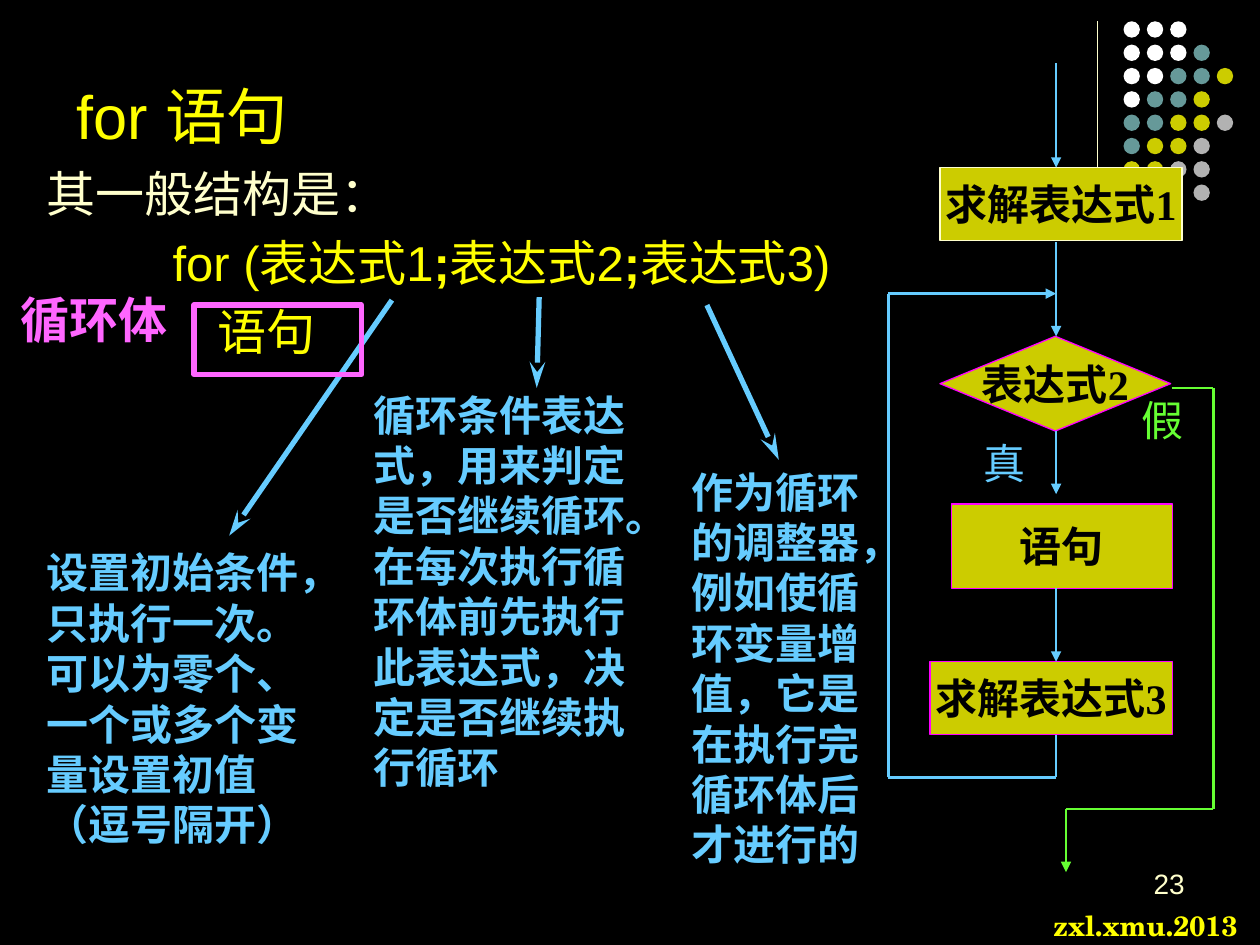
from dataclasses import dataclass
from itertools import pairwise

from lxml.etree import SubElement
from pptx import Presentation
from pptx.dml.color import RGBColor
from pptx.enum.shapes import MSO_CONNECTOR, MSO_SHAPE
from pptx.enum.text import MSO_ANCHOR, PP_ALIGN
from pptx.oxml.ns import qn
from pptx.util import Cm, Pt


@dataclass(frozen=True)
class Theme:
    black: str = "000000"
    white: str = "FFFFFF"
    cream: str = "FFFFCC"
    yellow: str = "FFFF00"
    olive: str = "CCCC00"
    teal: str = "669999"
    grey: str = "B2B2B2"
    sky: str = "66CCFF"
    green: str = "66FF33"
    pink: str = "FF66FF"
    magenta: str = "FF00FF"
    sans: str = "Arial"
    serif: str = "Times New Roman"
    script: str = "TeX Gyre Schola"
    title: int = 35
    heading: int = 28
    body: int = 24
    small: int = 16
    thin: float = 0.75
    medium: float = 1.5
    thick: float = 3


THEME = Theme()

DOT_ROWS = ["WWW", "WWWT", "WWTTO", "WTTO", "TTOOG", "TOOG", "OOGG", "   G"]
DOT_COLOURS = {"W": THEME.white, "T": THEME.teal, "O": THEME.olive, "G": THEME.grey}
DOT_LEFT, DOT_TOP, DOT_SIZE, DOT_PITCH = 22.65, 0.43, 0.33, 0.47

SYNTAX_AREA = (0.69, 3.18, 17.98, 4.29)
SYNTAX = [
    (0, THEME.cream, ["其一般结构是："]),
    (2.54, THEME.yellow, ["for (表达式1", ";", "表达式2", ";", "表达式3)"]),
    (3.45, THEME.yellow, ["语句"]),
]

NOTES = [
    ("设置初始条件，只执行一次。可以为零个、一个或多个变量设置初值（逗号隔开）", (0.69, 10.9, 6.2, 6.4)),
    ("循环条件表达式，用来判定是否继续循环。在每次执行循环体前先执行此表达式，决定是否继续执行循环",
     (7.29, 7.72, 5.82, 8.46)),
    ("作为循环的调整器，例如使循环变量增值，它是在执行完循环体后才进行的", (13.69, 9.27, 3.99, 8.46)),
]
NOTE_ARROWS = [
    [(7.9, 6.05), (4.62, 10.8)],
    [(10.87, 5.99), (10.82, 7.82)],
    [(14.25, 6.15), (15.7, 9.27)],
]

PROCESS, DECISION = MSO_SHAPE.FLOWCHART_PROCESS, MSO_SHAPE.FLOWCHART_DECISION
FLOW_STEPS = [
    ("求解表达式1", PROCESS, (18.95, 3.38, 4.88, 1.47), THEME.cream),
    ("表达式2", DECISION, (18.95, 6.78, 4.65, 1.91), THEME.magenta),
    ("语句", PROCESS, (19.18, 10.16, 4.45, 1.7), THEME.magenta),
    ("求解表达式3", PROCESS, (18.75, 13.34, 4.88, 1.47), THEME.magenta),
]
FLOW_AXIS = 21.29
FLOW_DROPS = [(1.27, 3.38), (4.88, 6.78), (8.69, 9.96), (11.86, 13.34)]
LOOP_ROUTE = [(FLOW_AXIS, 14.81), (FLOW_AXIS, 15.67), (17.91, 15.67), (17.91, 5.92), (FLOW_AXIS, 5.92)]
EXIT_ROUTE = [(23.62, 7.82), (24.46, 7.82), (24.46, 16.31), (21.49, 16.31), (21.49, 17.58)]


def lengths(values):
    return [Cm(value) for value in values]


def style(span, size, colour, bold=False, font=THEME.sans):
    span.font.size = Pt(size)
    span.font.name = font
    span.font.bold = bold
    span.font.color.rgb = RGBColor.from_string(colour)


def add_text(page, text, area, size, colour, bold=False, font=THEME.sans,
             align=PP_ALIGN.LEFT, anchor=MSO_ANCHOR.TOP, wrap=True):
    box = page.shapes.add_textbox(*lengths(area))
    frame = box.text_frame
    frame.word_wrap = wrap
    frame.vertical_anchor = anchor
    frame.text = text
    para = frame.paragraphs[0]
    para.alignment = align
    style(para.runs[0], size, colour, bold, font)


def add_shape(page, kind, area, fill=None, line=None, width=THEME.thin):
    shape = page.shapes.add_shape(kind, *lengths(area))
    shape.shadow.inherit = False
    if fill:
        shape.fill.solid()
        shape.fill.fore_color.rgb = RGBColor.from_string(fill)
    else:
        shape.fill.background()
    if line:
        shape.line.color.rgb = RGBColor.from_string(line)
        shape.line.width = Pt(width)
    else:
        shape.line.fill.background()
    return shape


def add_route(page, points, colour, width, head=None, head_length="med"):
    for start, end in pairwise(points):
        connector = page.shapes.add_connector(MSO_CONNECTOR.STRAIGHT, *lengths(start + end))
        connector.line.color.rgb = RGBColor.from_string(colour)
        connector.line.width = Pt(width)
        properties = connector._element.spPr
        if head and end == points[-1]:
            SubElement(properties.find(qn("a:ln")), qn("a:tailEnd"), type=head, len=head_length)
        SubElement(properties, qn("a:effectLst"))


def add_dots(page):
    for row, letters in enumerate(DOT_ROWS):
        for column, letter in enumerate(letters):
            if letter in DOT_COLOURS:
                area = (DOT_LEFT + column * DOT_PITCH, DOT_TOP + row * DOT_PITCH, DOT_SIZE, DOT_SIZE)
                add_shape(page, MSO_SHAPE.OVAL, area, DOT_COLOURS[letter])


def add_syntax(page):
    frame = page.shapes.add_textbox(*lengths(SYNTAX_AREA)).text_frame
    frame.word_wrap = True
    for index, (indent, colour, parts) in enumerate(SYNTAX):
        para = frame.add_paragraph() if index else frame.paragraphs[0]
        para._p.get_or_add_pPr().set("marL", str(Cm(indent)))
        if index:
            para.space_before = Pt(5.6)
        for part in parts:
            span = para.add_run()
            span.text = part
            style(span, THEME.heading, colour, part == ";")


def add_flowchart(page):
    add_route(page, EXIT_ROUTE, THEME.green, THEME.medium, "triangle")
    add_route(page, LOOP_ROUTE, THEME.sky, THEME.medium, "triangle")
    for text, kind, area, line in FLOW_STEPS:
        shape = add_shape(page, kind, area, THEME.olive, line)
        frame = shape.text_frame
        frame.word_wrap = False
        frame.vertical_anchor = MSO_ANCHOR.MIDDLE
        frame.text = text
        frame.paragraphs[0].alignment = PP_ALIGN.CENTER
        style(frame.paragraphs[0].runs[0], THEME.body, THEME.black, True, THEME.serif)
    for top, bottom in FLOW_DROPS:
        add_route(page, [(FLOW_AXIS, top), (FLOW_AXIS, bottom)], THEME.sky, THEME.medium, "triangle")
    add_text(page, "真", (19.58, 8.69, 2.34, 1.27), THEME.body, THEME.sky)
    add_text(page, "假", (22.76, 7.82, 1.7, 1.27), THEME.body, THEME.green)


def main():
    """Build the slide that explains the for statement."""
    deck = Presentation()
    deck.slide_width, deck.slide_height = Cm(25.4), Cm(19.05)
    page = deck.slides.add_slide(deck.slide_layouts[6])
    page.background.fill.solid()
    page.background.fill.fore_color.rgb = RGBColor.from_string(THEME.black)

    add_route(page, [(22.12, 0.43), (22.12, 4.65)], THEME.cream, THEME.thin)
    add_dots(page)
    add_text(page, "zxl.xmu.2013", (20.98, 18.19, 4.42, 0.94), THEME.small, THEME.yellow,
             True, THEME.script, wrap=False)
    add_text(page, "23", (18.21, 17.35, 5.92, 1.27), THEME.small, THEME.cream, align=PP_ALIGN.RIGHT)
    add_syntax(page)
    for arrow in NOTE_ARROWS:
        add_route(page, arrow, THEME.sky, THEME.thick, "stealth", "lg")
    add_flowchart(page)
    add_text(page, "for 语句", (1.3, 0, 20.96, 3.18), THEME.title, THEME.yellow, anchor=MSO_ANCHOR.BOTTOM)
    add_shape(page, MSO_SHAPE.RECTANGLE, (3.91, 6.15, 3.38, 1.4), line=THEME.pink, width=THEME.thick)
    add_text(page, "循环体", (-0.08, 5.72, 3.96, 1.45), THEME.heading, THEME.pink, True, align=PP_ALIGN.CENTER)
    for text, area in NOTES:
        add_text(page, text, area, THEME.body, THEME.sky, True)
    deck.save("out.pptx")


if __name__ == "__main__":
    main()
